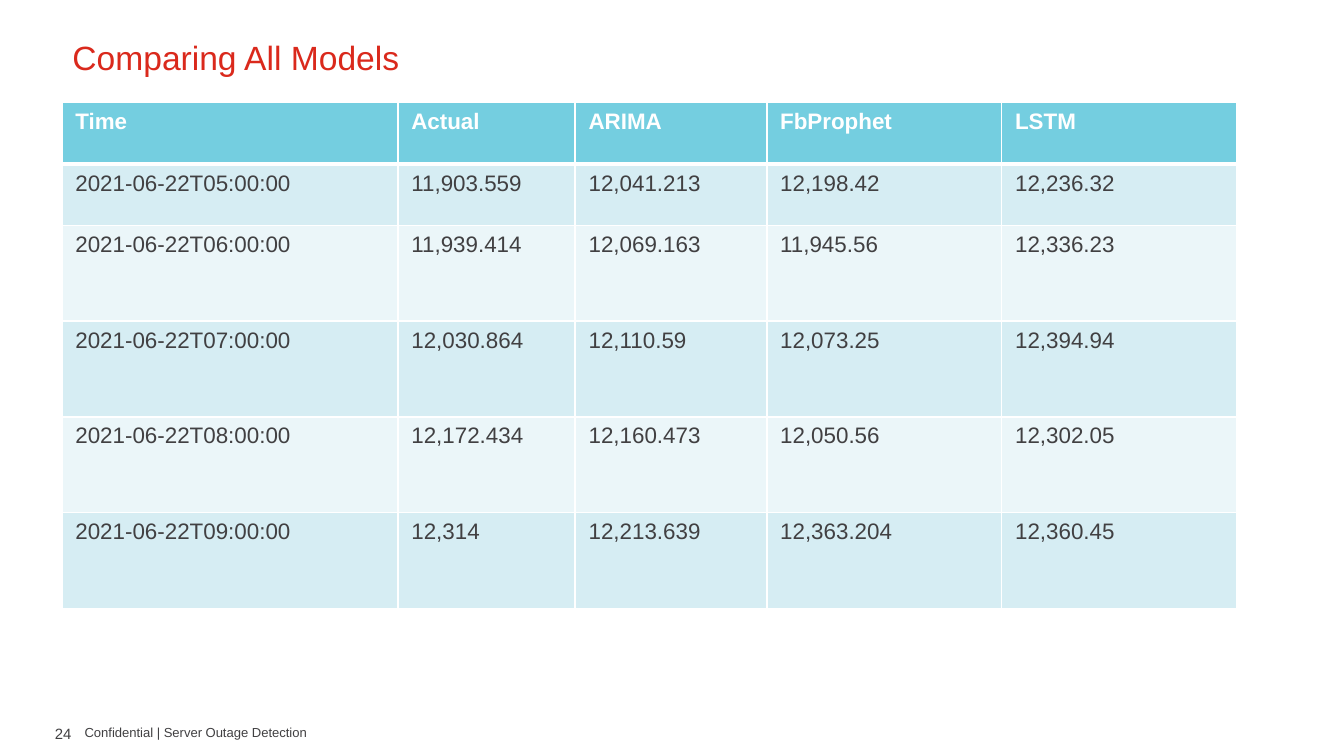
from dataclasses import dataclass

from lxml.etree import SubElement
from pptx import Presentation
from pptx.dml.color import RGBColor
from pptx.enum.text import MSO_ANCHOR as Anchor, PP_ALIGN as Align
from pptx.oxml.ns import qn
from pptx.util import Cm, Pt

FONT = "Arial"
RED = RGBColor(0xDA, 0x29, 0x1C)
GREY = RGBColor(0x41, 0x40, 0x42)
WHITE = RGBColor(0xFF, 0xFF, 0xFF)
HEADER_BLUE = RGBColor(0x74, 0xCE, 0xE0)
BAND_COLORS = (RGBColor(0xD6, 0xED, 0xF3), RGBColor(0xEB, 0xF6, 0xF9))


@dataclass
class Label:
    text: str
    left: float
    top: float
    width: float
    height: float
    size: float
    color: RGBColor = GREY
    align: Align = Align.LEFT
    inset: float = 0.23


LABELS = [
    Label("24", 0.46, 13.49, 1.47, 0.76, size=8, align=Align.CENTER),
    Label("Comparing All Models", 1.17, 0.58, 24, 0.99, size=18, color=RED, inset=0.2),
    Label("Confidential | Server Outage Detection", 1.37, 13.46, 14.27, 0.76, size=7),
]

COLUMN_WIDTHS = (6.35, 3.35, 3.62, 4.44, 4.44)
ROW_HEIGHTS = (1.16, 1.16) + (1.81,) * 4
FORECASTS = [
    ("Time", "Actual", "ARIMA", "FbProphet", "LSTM"),
    ("2021-06-22T05:00:00", "11,903.559", "12,041.213", "12,198.42", "12,236.32"),
    ("2021-06-22T06:00:00", "11,939.414", "12,069.163", "11,945.56", "12,336.23"),
    ("2021-06-22T07:00:00", "12,030.864", "12,110.59", "12,073.25", "12,394.94"),
    ("2021-06-22T08:00:00", "12,172.434", "12,160.473", "12,050.56", "12,302.05"),
    ("2021-06-22T09:00:00", "12,314", "12,213.639", "12,363.204", "12,360.45"),
]


def write_text(frame, text: str, *, size: float, color: RGBColor,
               bold: bool = False, align: Align = Align.LEFT) -> None:
    paragraph = frame.paragraphs[0]
    paragraph.alignment = align
    run = paragraph.add_run()
    run.text = text
    run.font.name = FONT
    run.font.size = Pt(size)
    run.font.bold = bold
    run.font.color.rgb = color


def add_label(slide, label: Label) -> None:
    box = slide.shapes.add_textbox(Cm(label.left), Cm(label.top),
                                   Cm(label.width), Cm(label.height))
    frame = box.text_frame
    frame.word_wrap = True
    frame.vertical_anchor = Anchor.MIDDLE
    frame.margin_left = frame.margin_right = Cm(label.inset)
    frame.margin_top = frame.margin_bottom = Cm(0.1)
    write_text(frame, label.text, size=label.size, color=label.color, align=label.align)


def set_borders(cell, **widths: float) -> None:
    """Draw white borders; the fill must be set afterwards."""
    properties = cell._tc.get_or_add_tcPr()
    for side, width in widths.items():
        line = SubElement(properties, qn(f"a:ln{side}"), w=str(Pt(width)))
        fill = SubElement(line, qn("a:solidFill"))
        SubElement(fill, qn("a:srgbClr"), val=str(WHITE))


def add_forecast_table(slide) -> None:
    table = slide.shapes.add_table(
        len(FORECASTS), len(COLUMN_WIDTHS), Cm(1.17), Cm(1.94),
        Cm(sum(COLUMN_WIDTHS)), Cm(sum(ROW_HEIGHTS))).table
    for column, width in zip(table.columns, COLUMN_WIDTHS):
        column.width = Cm(width)
    for row, height in zip(table.rows, ROW_HEIGHTS):
        row.height = Cm(height)

    for r, values in enumerate(FORECASTS):
        is_header = r == 0
        for c, value in enumerate(values):
            cell = table.cell(r, c)
            set_borders(cell, L=1, R=1, T=3 if r == 1 else 1, B=3 if is_header else 1)
            cell.fill.solid()
            cell.fill.fore_color.rgb = HEADER_BLUE if is_header else BAND_COLORS[(r - 1) % 2]
            write_text(cell.text_frame, value, size=12, bold=is_header,
                       color=WHITE if is_header else GREY)


presentation = Presentation()
presentation.slide_width, presentation.slide_height = Cm(25.4), Cm(14.29)
slide = presentation.slides.add_slide(presentation.slide_layouts[6])

# Title and footer
for label in LABELS:
    add_label(slide, label)

# Model comparison
add_forecast_table(slide)

presentation.save("out.pptx")
